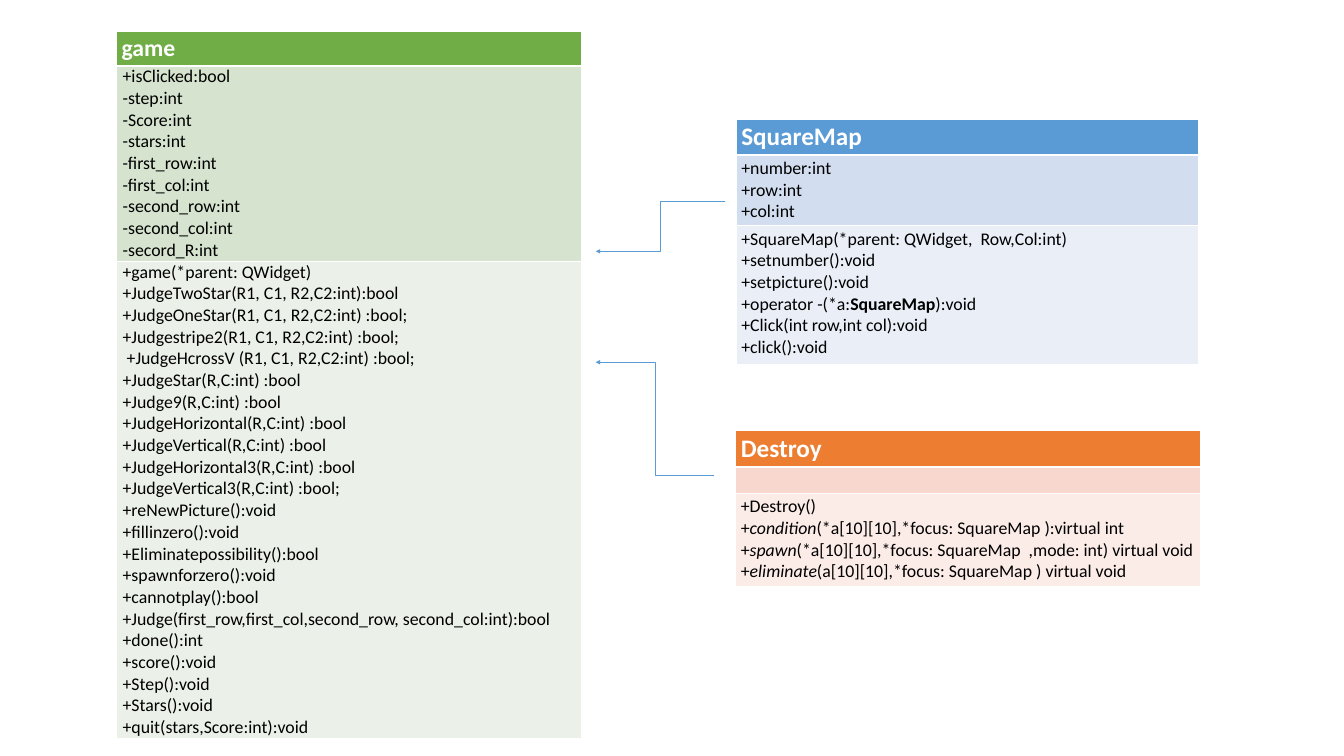
from dataclasses import dataclass
from lxml.etree import SubElement
from pptx import Presentation
from pptx.dml.color import RGBColor as Rgb
from pptx.enum.shapes import MSO_CONNECTOR as Link
from pptx.oxml.ns import qn
from pptx.util import Inches, Pt


@dataclass(frozen=True)
class Theme:
    font: str = "Calibri"
    body: int = 24
    ink: str = "000000"
    white: str = "FFFFFF"
    line: str = "5B9BD5"
    # Header, attribute and method fills
    green: tuple = ("70AD47", "D5E3CF", "EBF1E9")
    blue: tuple = ("5B9BD5", "D2DEEF", "EAEFF7")
    orange: tuple = ("ED7D31", "F8D7CE", "FCECE8")


THEME = Theme()

# Class members; text between bars is emphasised
GAME = ("game", """+isClicked:bool
-step:int
-Score:int
-stars:int
-first_row:int
-first_col:int
-second_row:int
-second_col:int
-secord_R:int""", """+game(*parent: QWidget)
+JudgeTwoStar(R1, C1, R2,C2:int):bool
+JudgeOneStar(R1, C1, R2,C2:int) :bool;
+Judgestripe2(R1, C1, R2,C2:int) :bool;
 +JudgeHcrossV (R1, C1, R2,C2:int) :bool;
+JudgeStar(R,C:int) :bool
+Judge9(R,C:int) :bool
+JudgeHorizontal(R,C:int) :bool
+JudgeVertical(R,C:int) :bool
+JudgeHorizontal3(R,C:int) :bool
+JudgeVertical3(R,C:int) :bool;
+reNewPicture():void
+fillinzero():void
+Eliminatepossibility():bool
+spawnforzero():void
+cannotplay():bool
+Judge(first_row,first_col,second_row, second_col:int):bool
+done():int
+score():void
+Step():void
+Stars():void
+quit(stars,Score:int):void""")

SQUARE = ("SquareMap", """+number:int
+row:int
+col:int""", """+SquareMap(*parent: QWidget,  Row,Col:int)
+setnumber():void
+setpicture():void
+operator -(*a:|SquareMap|):void
+Click(int row,int col):void
+click():void""")

DESTROY = ("Destroy", "", """+Destroy()
+|condition|(*a[10][10],*focus: SquareMap ):virtual int
+|spawn|(*a[10][10],*focus: SquareMap  ,mode: int) virtual void
+|eliminate|(a[10][10],*focus: SquareMap ) virtual void""")


def style(font, size, color, bold=False, italic=False):
    font.name, font.size = THEME.font, Pt(size)
    font.color.rgb = Rgb.from_string(color)
    font.bold, font.italic = bold, italic


def edge(cell, **widths):
    """Draw white cell borders, given in points by side."""
    props = cell._tc.get_or_add_tcPr()
    for side in "LRTB":
        line = SubElement(props, qn("a:ln" + side), w=str(Pt(widths.get(side, 1))))
        fill = SubElement(line, qn("a:solidFill"))
        SubElement(fill, qn("a:srgbClr"), val=THEME.white)


def write(cell, text, size, color, bold=False, slant=False):
    """Write one paragraph a line, with slanted or bold emphasis."""
    frame = cell.text_frame
    for i, line in enumerate(text.split("\n") if text else []):
        para = frame.add_paragraph() if i else frame.paragraphs[0]
        for j, part in enumerate(line.split("|")):
            run = para.add_run()
            run.text = part
            mark = j % 2 == 1
            style(run.font, size, color, bold or mark and not slant, mark and slant)


def card(slide, box, rows, texts, fills, head, pad=None, slant=False):
    """Place a class table: name, attributes, methods."""
    left, top, width = box
    table = slide.shapes.add_table(3, 1, Inches(left), Inches(top),
                                   Inches(width), Inches(sum(rows))).table
    for i, (high, text, fill) in enumerate(zip(rows, texts, fills)):
        table.rows[i].height = Inches(high)
        cell = table.cell(i, 0)
        edge(cell, T=3 if i == 1 else 1, B=3 if i == 0 else 1)
        cell.fill.solid()
        cell.fill.fore_color.rgb = Rgb.from_string(fill)
        if i == 0:
            write(cell, text, head, THEME.white, bold=True)
            continue
        write(cell, text, THEME.body, THEME.ink, slant=slant)
        if pad:
            cell.margin_left = cell.margin_right = Inches(pad)
            cell.margin_top = cell.margin_bottom = 0


def arrow(slide, start, end):
    """Place an elbow arrow between two points."""
    link = slide.shapes.add_connector(Link.ELBOW, *map(Inches, start + end))
    link.line.color.rgb = Rgb.from_string(THEME.line)
    link.line.width = Pt(0.5)
    SubElement(link.line._get_or_add_ln(), qn("a:tailEnd"), type="triangle")
    SubElement(link._element.spPr, qn("a:effectLst"))


def main():
    deck = Presentation()
    deck.slide_width, deck.slide_height = Inches(25.2), Inches(14.17)
    slide = deck.slides.add_slide(deck.slide_layouts[6])

    # Class tables
    card(slide, (2.18, 0.59, 8.72), (0.62, 3.51, 8.74), GAME, THEME.green, 32, pad=0.12)
    card(slide, (13.8, 2.23, 8.67), (0.67, 1.3, 2.6), SQUARE, THEME.blue, 34)
    card(slide, (13.79, 8.07, 8.71), (0.67, 0.5, 1.74), DESTROY, THEME.orange, 34,
         slant=True)

    # Links to the game class
    arrow(slide, (13.6, 3.77), (11.17, 4.71))
    arrow(slide, (13.39, 8.9), (11.17, 6.79))

    deck.save("out.pptx")


if __name__ == "__main__":
    main()
